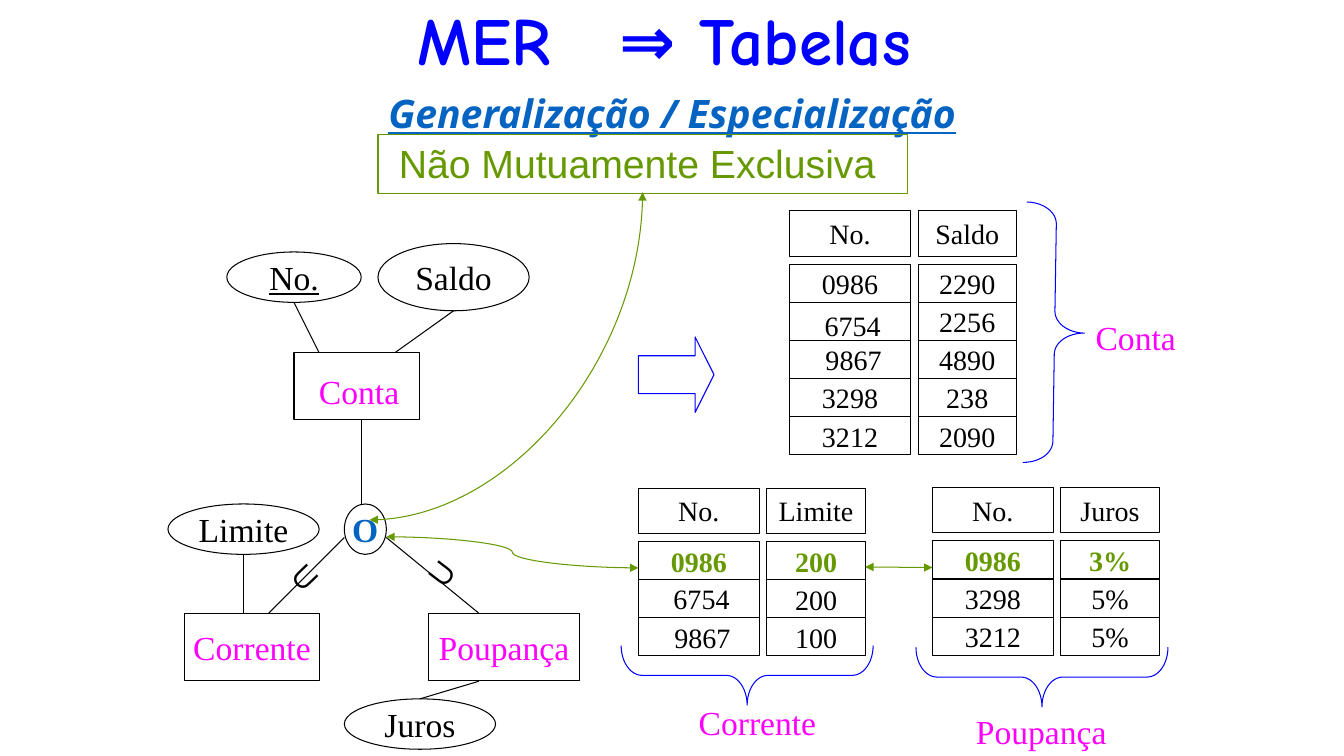
from dataclasses import dataclass, field, replace

from lxml import etree
from pptx import Presentation
from pptx.dml.color import RGBColor
from pptx.enum.shapes import MSO_CONNECTOR, MSO_SHAPE
from pptx.enum.text import MSO_ANCHOR, MSO_AUTO_SIZE, PP_ALIGN
from pptx.oxml.ns import qn
from pptx.util import Emu, Pt

RECT, OVAL = MSO_SHAPE.RECTANGLE, MSO_SHAPE.OVAL
BRACE, ARROW = MSO_SHAPE.LEFT_BRACE, MSO_SHAPE.RIGHT_ARROW
STRAIGHT, CURVE = MSO_CONNECTOR.STRAIGHT, MSO_CONNECTOR.CURVE
CENTER, LEFT = PP_ALIGN.CENTER, PP_ALIGN.LEFT
TOP, MIDDLE, BOTTOM = MSO_ANCHOR.TOP, MSO_ANCHOR.MIDDLE, MSO_ANCHOR.BOTTOM
GROW, FIXED = MSO_AUTO_SIZE.SHAPE_TO_FIT_TEXT, MSO_AUTO_SIZE.NONE

COLUMNS, ROWS = 160, 90
UNIT = 76200


@dataclass(frozen=True)
class Style:
    size: float
    color: str
    font: str = "Times New Roman"
    bold: bool = False
    italic: bool = False
    underline: bool = False


@dataclass(frozen=True)
class Theme:
    black: str = "000000"
    blue: str = "0000FF"
    green: str = "669900"
    line: float = 0.75
    title_gap: int = 3200
    title: Style = Style(48, "0000FF", "Comic Neue", bold=True)
    subtitle: Style = Style(28, "0563C1", "Noto Sans", True, True, True)
    rule: Style = Style(28, "669900", "Arial")
    entity: Style = Style(24, "FF00FF")
    attribute: Style = Style(24, "000000")
    key: Style = Style(24, "000000", underline=True)
    overlap: Style = Style(24, "0563C1", bold=True)
    subset: Style = Style(28, "000000", bold=True)
    cell: Style = Style(20, "000000")
    shared: Style = Style(20, "669900", bold=True)


THEME = Theme()


@dataclass(frozen=True)
class Box:
    left: float
    top: float
    width: float
    height: float

    def emu(self) -> list[Emu]:
        return [Emu(round(n * UNIT)) for n in (self.left, self.top, self.width, self.height)]


@dataclass(frozen=True)
class Figure:
    kind: int
    box: Box
    text: str = ""
    style: Style = THEME.attribute
    color: str = THEME.black
    rotation: float = 0
    adjustments: tuple[float, ...] = ()


@dataclass(frozen=True)
class Label:
    text: str
    box: Box
    style: Style
    rotation: float = 0
    align: int = LEFT
    anchor: int = TOP
    wrap: bool = False
    auto_size: int = GROW


@dataclass(frozen=True)
class Link:
    start: tuple[float, float]
    end: tuple[float, float]
    preset: str = "line"


@dataclass(frozen=True)
class Relation:
    left: float
    top: float
    headers: tuple[str, str]
    rows: tuple[tuple[str, str], ...]
    shared_first: bool = True
    widths: tuple[float, float] = field(default=(14.4, 11.7))


HEADER_HEIGHT, BODY_OFFSET, ROW_HEIGHT, COLUMN_GAP = 5.4, 6.4, 4.53, 0.9

HEADINGS = (
    Label("MER", Box(26, 3, 109, 7), THEME.title, 0, CENTER, BOTTOM, True, FIXED),
    Label("Generalização / Especialização", Box(20, 10, 120, 6.8), THEME.subtitle, 0, CENTER, TOP, True),
)

FIGURES = (
    Figure(ARROW, Box(76, 40.1, 9, 9), color=THEME.blue, adjustments=(0.5, 0.25)),
    Figure(RECT, Box(35, 42, 15, 8)),
    Figure(OVAL, Box(27, 30, 16, 6), "No.", THEME.key),
    Figure(OVAL, Box(45, 29, 18, 8), "Saldo"),
    Figure(OVAL, Box(41, 60, 5, 6), "O", THEME.overlap),
    Figure(RECT, Box(22, 73, 16, 8), "Corrente", THEME.entity),
    Figure(RECT, Box(51, 73, 18, 8), "Poupança", THEME.entity),
    Figure(OVAL, Box(20, 60, 18, 6), "Limite"),
    Figure(OVAL, Box(41, 83.2, 18, 6), "Juros"),
    Figure(BRACE, Box(122, 24.1, 7.1, 31), "", THEME.entity, THEME.blue, 180.9, (0.36, 0.5)),
    Figure(BRACE, Box(85.4, 65.4, 7.1, 30), "", THEME.entity, THEME.blue, 270, (0.35, 0.5)),
    Figure(BRACE, Box(120.5, 65.6, 7.1, 30), "", THEME.entity, THEME.blue, 270, (0.35, 0.5)),
)

LABELS = (
    Label("Conta", Box(129.25, 37.1, 12.7, 6), THEME.entity, wrap=True),
    Label("Corrente", Box(82, 83, 19, 6), THEME.entity, wrap=True),
    Label("Poupança", Box(115, 84.1, 24, 6), THEME.entity, wrap=True),
    Label("Conta", Box(36.8, 43.6, 12, 6), THEME.entity),
    Label("6754", Box(97, 36.1, 9.1, 5.2), THEME.cell),
    Label("6754", Box(79, 68.6, 9.1, 5.2), THEME.cell),
    Label("∪", Box(49, 65, 6, 6.8), THEME.subset, 307.3),
    Label("∪", Box(33.4, 64.7, 6, 6.8), THEME.subset, 46.1),
)

LINKS = (
    Link((35, 36), (38, 42)),
    Link((54, 37), (47, 42)),
    Link((41, 64), (32, 73)),
    Link((46, 64), (57, 73)),
    Link((43, 60), (43, 50)),
    Link((29, 66), (29, 73)),
    Link((50, 83.2), (57, 81.1)),
    Link((44, 61.9), (76.5, 22.9), "curvedConnector2"),
    Link((46, 63.9), (76, 67.6), "curvedConnector3"),
    Link((103, 67.5), (111, 67.55), "curvedConnector3"),
)

RELATIONS = (
    Relation(94, 25.1, ("No.", "Saldo"), (("0986", "2290"), ("", "2256"), (" 9867", "4890"),
                                          ("3298", "238"), ("3212", "2090")), False),
    Relation(76, 58.1, ("No.", "Limite"), (("0986", "200"), ("", "200"), (" 9867", "100"))),
    Relation(111, 58, ("No.", "Juros"), (("0986", "3%"), ("3298", "5%"), ("3212", "5%"))),
)


def format_run(run, style: Style) -> None:
    font = run.font
    font.name, font.size = style.font, Pt(style.size)
    font.bold, font.italic, font.underline = style.bold, style.italic, style.underline
    font.color.rgb = RGBColor.from_string(style.color)


def write(frame, text: str, style: Style, align: int, anchor: int, wrap: bool) -> None:
    frame.text = text
    frame.word_wrap, frame.vertical_anchor = wrap, anchor
    paragraph = frame.paragraphs[0]
    paragraph.alignment = align
    for run in paragraph.runs:
        format_run(run, style)


def draw_figure(slide, figure: Figure):
    shape = slide.shapes.add_shape(figure.kind, *figure.box.emu())
    shape.shadow.inherit = False
    shape.fill.background()
    shape.line.color.rgb = RGBColor.from_string(figure.color)
    shape.line.width = Pt(THEME.line)
    shape.rotation = figure.rotation
    for index, value in enumerate(figure.adjustments):
        shape.adjustments[index] = value
    if figure.text:
        write(shape.text_frame, figure.text, figure.style, CENTER, MIDDLE, False)
    return shape


def draw_label(slide, label: Label):
    box = slide.shapes.add_textbox(*label.box.emu())
    box.rotation = label.rotation
    write(box.text_frame, label.text, label.style, label.align, label.anchor, label.wrap)
    box.text_frame.auto_size = label.auto_size
    return box


def draw_link(slide, link: Link) -> None:
    curved = link.preset != "line"
    ends = [Emu(round(n * UNIT)) for n in (*link.start, *link.end)]
    connector = slide.shapes.add_connector(CURVE if curved else STRAIGHT, *ends)
    connector.line.color.rgb = RGBColor.from_string(THEME.green if curved else THEME.black)
    connector.line.width = Pt(THEME.line)
    properties = connector._element.spPr
    properties.find(qn("a:prstGeom")).set("prst", link.preset)
    if curved:
        for tip in ("a:headEnd", "a:tailEnd"):
            etree.SubElement(properties.find(qn("a:ln")), qn(tip), type="triangle")
    etree.SubElement(properties, qn("a:effectLst"))


def draw_relation(slide, relation: Relation) -> None:
    left = relation.left
    for column, width in enumerate(relation.widths):
        header = Box(left, relation.top, width, HEADER_HEIGHT)
        draw_figure(slide, Figure(RECT, header, relation.headers[column], THEME.cell))
        for index, values in enumerate(relation.rows):
            top = relation.top + BODY_OFFSET + index * ROW_HEIGHT
            style = THEME.shared if relation.shared_first and index == 0 else THEME.cell
            draw_figure(slide, Figure(RECT, Box(left, top, width, ROW_HEIGHT), values[column], style))
        left += width + COLUMN_GAP


def main() -> None:
    deck = Presentation()
    deck.slide_width, deck.slide_height = Emu(COLUMNS * UNIT), Emu(ROWS * UNIT)
    slide = deck.slides.add_slide(deck.slide_layouts[6])
    title, _ = [draw_label(slide, heading) for heading in HEADINGS]
    for part in (" ", "⇒ Tabelas "):
        run = title.text_frame.paragraphs[0].add_run()
        run.text = part
        format_run(run, THEME.title)
        if part == " ":
            run.font._element.set("spc", str(THEME.title_gap))
    for relation in RELATIONS:
        draw_relation(slide, relation)
    for figure in FIGURES:
        draw_figure(slide, figure)
    for label in LABELS:
        draw_label(slide, label)
    rule = Figure(RECT, Box(45, 16, 63, 7), " Não Mutuamente Exclusiva", THEME.rule, THEME.green)
    exclusion = draw_figure(slide, rule)
    write(exclusion.text_frame, rule.text, replace(rule.style), LEFT, TOP, True)
    for link in LINKS:
        draw_link(slide, link)
    deck.save("out.pptx")


if __name__ == "__main__":
    main()
